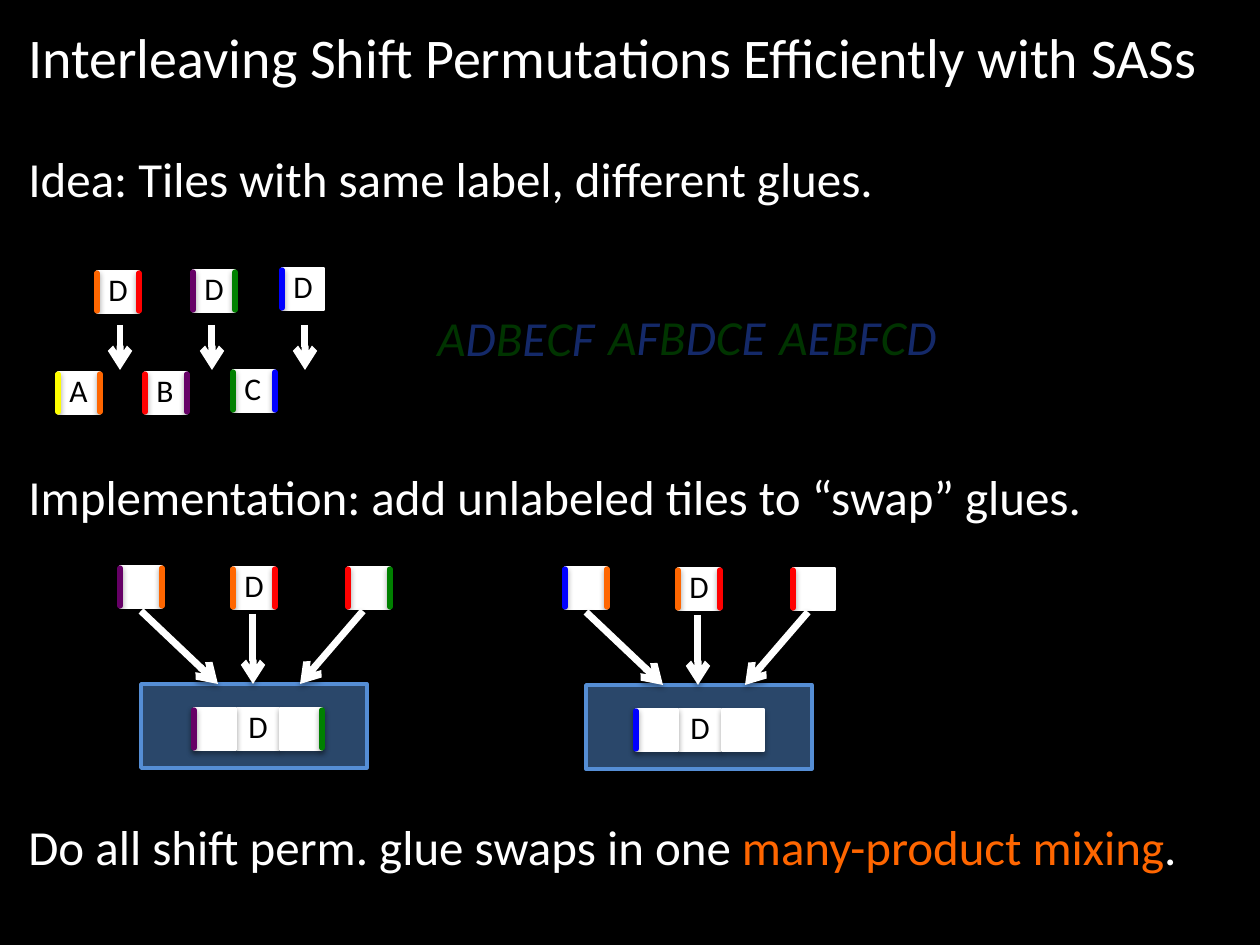
import pptx
import pptx.dml.color
import pptx.enum.shapes
import pptx.enum.text
import pptx.oxml
import pptx.oxml.ns
import pptx.util

SCALE = 914400 / 126
TILE = 42
WHITE, BLACK, ORANGE, RED = "FFFFFF", "000000", "FF6600", "FF0000"
YELLOW, PURPLE, GREEN, BLUE = "FFFF00", "660066", "008000", "0000FF"
LETTER_BLUE, PANEL_BLUE = "3366FF", "558ED5"


def px(*lengths):
    """Turn px lengths into EMU."""
    return [pptx.util.Emu(round(length * SCALE)) for length in lengths]


def paint(fill, color, alpha=100):
    """Make a fill solid in a hex colour, with opacity in percent."""
    fill.solid()
    fill.fore_color.rgb = pptx.dml.color.RGBColor.from_string(color)
    if alpha < 100:
        add_xml(fill.fore_color._xFill[0], "alpha", val=alpha * 1000)


def add_xml(parent, tag, **attributes):
    """Append a drawing element with attributes to its parent."""
    child = pptx.oxml.parse_xml(f"<a:{tag} {pptx.oxml.ns.nsdecls('a')}/>")
    for name, value in attributes.items():
        child.set(name, str(value))
    parent.append(child)
    return child


def apply_format(target, values):
    """Set every attribute named in a dict of format values."""
    for name, value in values.items():
        setattr(target, name, value)


def add_shadow(effects, opacity, distance):
    """Add a soft shadow that falls straight down."""
    shadow = add_xml(effects, "outerShdw", blurRad=40000, dist=distance,
                     dir=5400000, rotWithShape=0)
    add_xml(add_xml(shadow, "srgbClr", val=BLACK), "alpha", val=opacity * 1000)


def add_text(shapes, box, runs, size, italic=False):
    """Place one paragraph of (text, colour) runs in a box."""
    frame = shapes.add_textbox(*px(*box)).text_frame
    apply_format(frame, {"word_wrap": True,
                         "auto_size": pptx.enum.text.MSO_AUTO_SIZE.SHAPE_TO_FIT_TEXT})
    for text, color in runs:
        run = frame.paragraphs[0].add_run()
        run.text = text
        apply_format(run.font, {"name": "Calibri", "size": pptx.util.Pt(size),
                                "italic": italic})
        paint(run.font.fill, color)


def add_rectangle(shapes, box, color, alpha=100, outline=None, width=0.75):
    """Place a shadowed rectangle in a box."""
    shape = shapes.add_shape(pptx.enum.shapes.MSO_SHAPE.RECTANGLE, *px(*box))
    paint(shape.fill, color, alpha)
    if outline:
        paint(shape.line.fill, outline)
        shape.line.width = pptx.util.Pt(width)
    else:
        shape.line.fill.background()
    shape.shadow.inherit = False
    effects = shape._element.spPr.find(pptx.oxml.ns.qn("a:effectLst"))
    add_shadow(effects, 35, 23000)


def add_line(shapes, points, color, width, arrow=False):
    """Draw a shadowed line, as a round-ended glue or as an arrow."""
    line = shapes.add_connector(pptx.enum.shapes.MSO_CONNECTOR.STRAIGHT, *px(*points))
    paint(line.line.fill, color)
    line.line.width = pptx.util.Pt(width)
    outline = line.line._get_or_add_ln()
    if arrow:
        add_xml(outline, "tailEnd", type="arrow")
    else:
        outline.set("cap", "rnd")
    add_shadow(add_xml(line._element.spPr, "effectLst"), 38, 20000)


def add_arrow(shapes, *points):
    """Draw a white arrow."""
    add_line(shapes, points, WHITE, 4, arrow=True)


def add_tile(shapes, left, top, label="", left_glue=None, right_glue=None):
    """Place a tile with its glues and label."""
    add_rectangle(shapes, (left, top, TILE, TILE), WHITE, outline=WHITE)
    for x, glue in ((left, left_glue), (left + TILE, right_glue)):
        if glue:
            add_line(shapes, (x, top + 2, x, top + 40), glue, 3)
    if label:
        add_text(shapes, (left - 1, top - 7, 48, 51), [(label, BLACK)], 18)


def add_idea(slide, left, top):
    """Place the row of D tiles that drop between A, B and C."""
    for x, y, label, *glues in ((0, 104, "A", YELLOW, ORANGE),
                                (87, 104, "B", RED, PURPLE),
                                (175, 102, "C", GREEN, BLUE)):
        add_tile(slide.shapes.add_group_shape().shapes, left + x, top + y, label, *glues)
    for x, y, arrow_x, *glues in ((39, 3, 62, ORANGE, RED),
                                  (135, 2, 154, PURPLE, GREEN),
                                  (224, 0, 247, BLUE)):
        shapes = slide.shapes.add_group_shape().shapes
        add_tile(shapes, left + x, top + y, "D", *glues)
        add_arrow(shapes, left + arrow_x, top + 57, left + arrow_x, top + 102)


def add_words(slide, left, top):
    """Place the interleaved words, dimmed by translucent covers."""
    words = (("ADBECF", 0, 1, 197, 0), ("AFBDCE", 171, 0, 232, 175),
             ("AEBFCD", 342, 0, 239, 346))
    for word, x, y, width, _ in words:
        runs = [(letter, LETTER_BLUE if index % 2 else GREEN)
                for index, letter in enumerate(word)]
        add_text(slide.shapes, (left + x, top + y, width, 72), runs, 28, italic=True)
    for *_, x in words:
        add_rectangle(slide.shapes, (left + x, top + 9, 171, 66), BLACK, alpha=50)


def add_swap(slide, left, top, start_glue, end_glue, product_x):
    """Place one mixing of three tiles and the product in its panel."""
    shapes = slide.shapes.add_group_shape().shapes
    add_tile(shapes, left + 113, top + 1, "D", ORANGE, RED)
    add_tile(shapes, left + 228, top + 1, "", RED, end_glue)
    add_tile(shapes, left, top, "", start_glue, ORANGE)
    add_rectangle(shapes, (left + 21, top + 118, 226, 84), PANEL_BLUE,
                  alpha=50, outline=PANEL_BLUE, width=2)
    for start_x, start_y, end_x in ((243, 45, 180), (21, 45, 98), (133, 48, 133)):
        add_arrow(shapes, left + start_x, top + start_y, left + end_x, top + 118)
    product_left, product_top = left + product_x, top + 142
    add_tile(shapes, product_left + 43, product_top, "D")
    add_tile(shapes, product_left + 86, product_top, right_glue=end_glue)
    add_tile(shapes, product_left, product_top, left_glue=start_glue)


def add_statements(slide, left):
    """Place the title and the three statements."""
    statements = (
        (16, 81, 32, [("Interleaving Shift Permutations Efficiently with SASs", WHITE)]),
        (142, 72, 28, [("Idea: Tiles with same label, different glues.", WHITE)]),
        (460, 72, 28, [("Implementation: add unlabeled tiles to “swap” glues.", WHITE)]),
        (810, 72, 28, [("Do all shift perm. glue swaps in one ", WHITE),
                       ("many-product mixing", ORANGE), (".", WHITE)]),
    )
    for top, height, size, runs in statements:
        add_text(slide.shapes, (left, top, 1244, height), runs, size)


def main():
    """Build and save the presentation."""
    presentation = pptx.Presentation()
    width, height = px(1260, 945)
    apply_format(presentation, {"slide_width": width, "slide_height": height})
    slide = presentation.slides.add_slide(presentation.slide_layouts[6])
    paint(slide.background.fill, BLACK)
    add_statements(slide, 16)
    add_idea(slide, 58, 268)
    add_words(slide, 425, 300)
    add_swap(slide, 120, 566, PURPLE, GREEN, 74)
    add_swap(slide, 565, 567, BLUE, None, 71)
    presentation.save("out.pptx")


if __name__ == "__main__":
    main()
